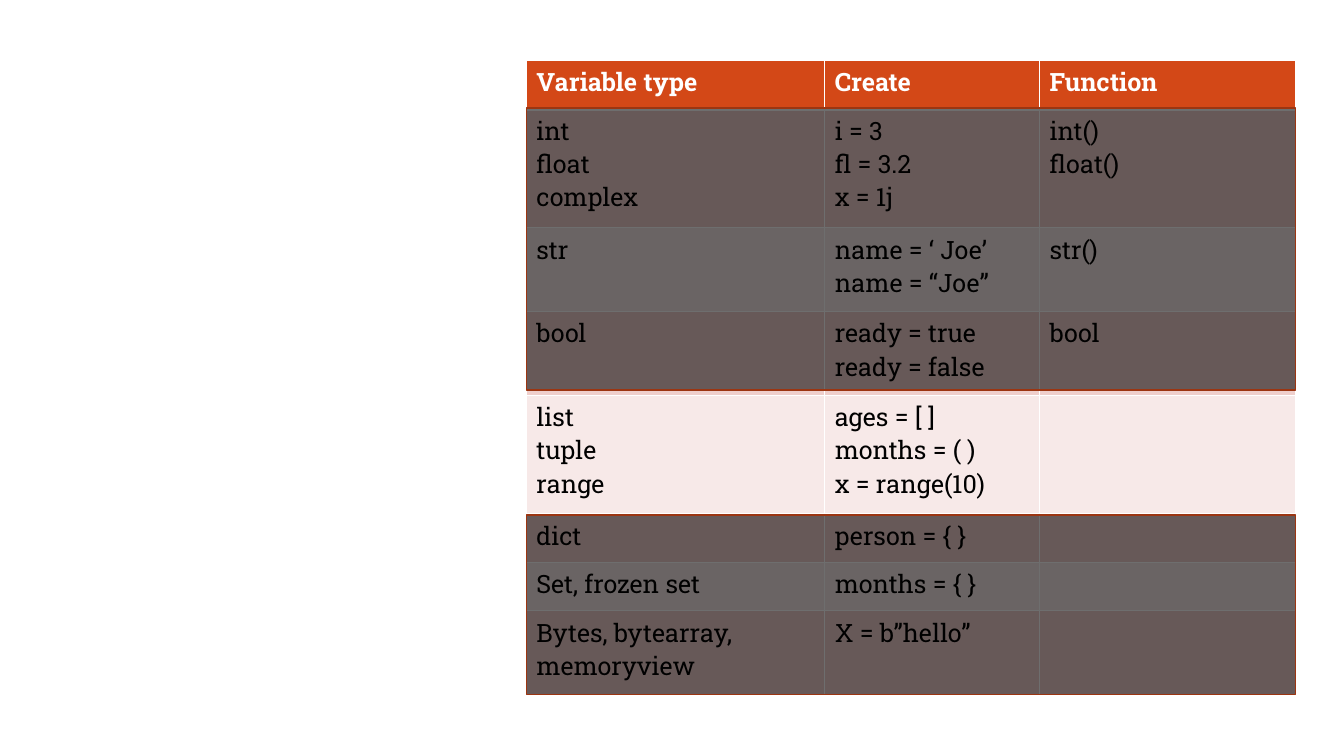
from lxml import etree
from pptx import Presentation
from pptx.dml.color import RGBColor
from pptx.enum import shapes
from pptx.oxml import ns
from pptx.util import Inches, Pt

COLORS = {
    "white": "FFFFFF",
    "black": "000000",
    "header": "D34817",
    "dark_band": "EFCFCC",
    "light_band": "F7E9E8",
    "shade_line": "9C3511",
}
LEFT, TOP = 5.22, 0.6
COLUMN_WIDTHS = [2.96, 2.13, 2.54]
ROW_HEIGHTS = [0.48, 1.18, 0.83, 0.83, 1.18, 0.48, 0.48, 0.83]
ROWS = [
    ("Variable type", "Create", "Function"),
    ("int\nfloat\ncomplex", "i = 3\nfl = 3.2\nx = 1j", "int()\nfloat()"),
    ("str", "name = ‘ Joe’\nname = “Joe”", "str()"),
    ("bool", "ready = true\nready = false", "bool"),
    ("list\ntuple\nrange", "ages = [ ]\nmonths = ( )\nx = range(10)", ""),
    ("dict", "person = { }", ""),
    ("Set, frozen set", "months = { }", ""),
    ("Bytes, bytearray, memoryview", "X = b”hello”", ""),
]
SHADES = [(5.11, 1.78), (1.07, 2.8)]  # top and height


def write_text(frame, text, size=18, font="Roboto Slab", color="black", bold=False):
    frame.text = text
    for paragraph in frame.paragraphs:
        paragraph.font.size = Pt(size)
        for run in paragraph.runs:
            run.font.size = Pt(size)
            run.font.name = font
            run.font.bold = bold
            run.font.color.rgb = RGBColor.from_string(COLORS[color])


def set_borders(cell, widths):
    """Draw white borders; widths maps L, R, T, B (in that order) to points."""
    properties = cell._tc.get_or_add_tcPr()
    for index, (side, width) in enumerate(widths.items()):
        line = etree.Element(ns.qn(f"a:ln{side}"), w=str(Pt(width)))
        fill = etree.SubElement(line, ns.qn("a:solidFill"))
        etree.SubElement(fill, ns.qn("a:srgbClr"), val=COLORS["white"])
        properties.insert(index, line)


presentation = Presentation()
presentation.slide_width = Inches(13.33)
presentation.slide_height = Inches(7.5)
slide = presentation.slides.add_slide(presentation.slide_layouts[6])

# Table of variable types
table_width = sum(COLUMN_WIDTHS)
table = slide.shapes.add_table(
    len(ROWS), len(COLUMN_WIDTHS), Inches(LEFT), Inches(TOP),
    Inches(table_width), Inches(sum(ROW_HEIGHTS)),
).table
for column, width in zip(table.columns, COLUMN_WIDTHS):
    column.width = Inches(width)
for row, height in zip(table.rows, ROW_HEIGHTS):
    row.height = Inches(height)

for row_index, row_texts in enumerate(ROWS):
    is_header = row_index == 0
    band = "header" if is_header else "dark_band" if row_index % 2 else "light_band"
    for column_index, cell_text in enumerate(row_texts):
        cell = table.cell(row_index, column_index)
        cell.fill.solid()
        cell.fill.fore_color.rgb = RGBColor.from_string(COLORS[band])
        write_text(cell.text_frame, cell_text,
                   color="white" if is_header else "black", bold=is_header)
        set_borders(cell, {"L": 1, "R": 1, "T": 3 if row_index == 1 else 1,
                           "B": 3 if is_header else 1})

# Translucent shades that leave the sequence types in focus
for top, height in SHADES:
    shade = slide.shapes.add_shape(
        shapes.MSO_SHAPE.RECTANGLE,
        Inches(LEFT), Inches(top), Inches(table_width), Inches(height),
    )
    shade.shadow.inherit = False
    shade.fill.solid()
    shade.fill.fore_color.rgb = RGBColor.from_string(COLORS["black"])
    shade_color = shade._element.spPr.find(f"{ns.qn('a:solidFill')}/{ns.qn('a:srgbClr')}")
    etree.SubElement(shade_color, ns.qn("a:alpha"), val="57000")
    shade.line.color.rgb = RGBColor.from_string(COLORS["shade_line"])
    shade.line.width = Pt(1)

presentation.save("out.pptx")
